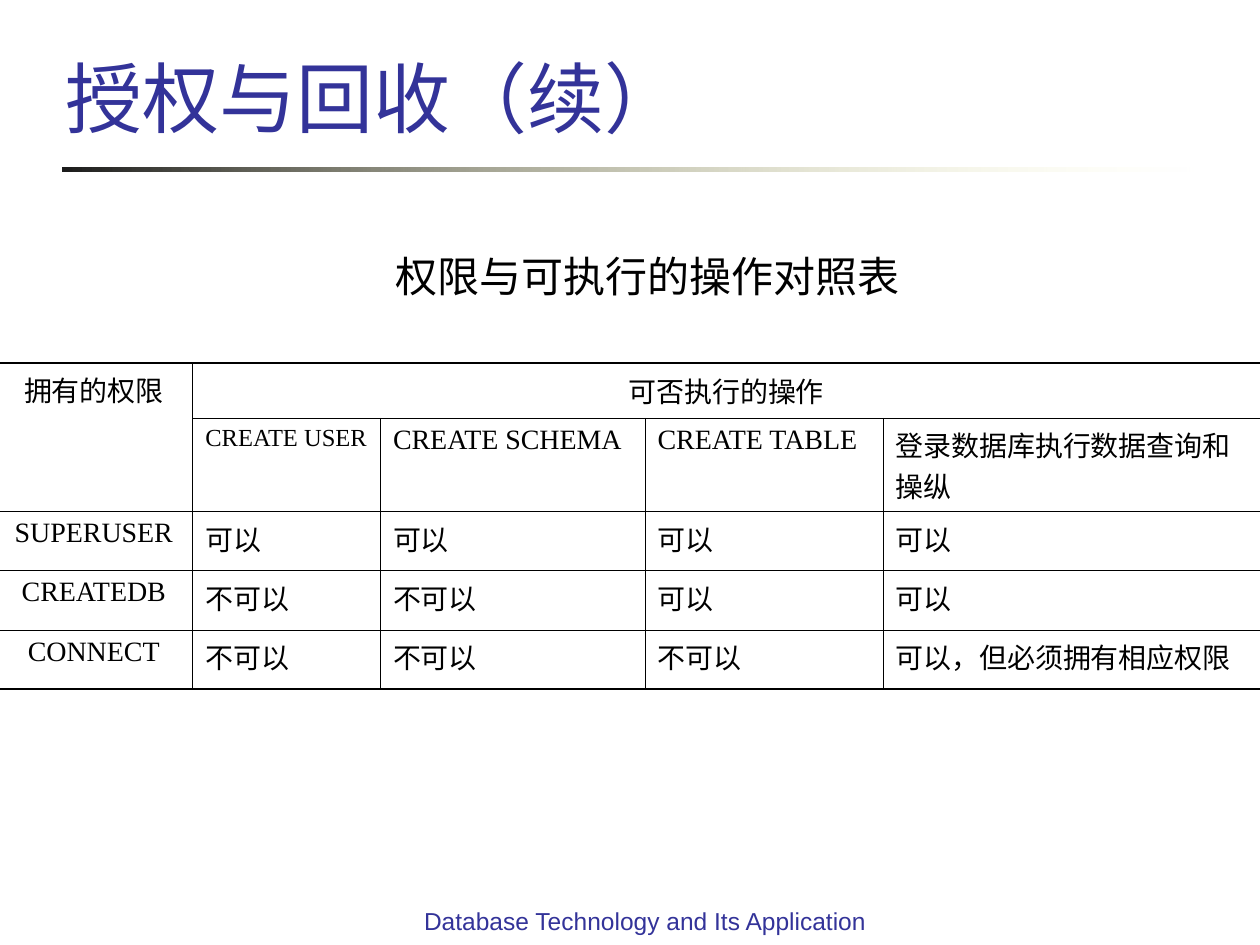
from dataclasses import dataclass

from lxml.etree import SubElement
from pptx import Presentation
from pptx.dml.color import RGBColor
from pptx.enum.shapes import MSO_SHAPE
from pptx.enum.text import MSO_ANCHOR, MSO_AUTO_SIZE, PP_ALIGN
from pptx.oxml.ns import qn
from pptx.util import Inches, Pt


@dataclass(frozen=True)
class Theme:
    """Colours, fonts, type sizes and line widths of the slide."""
    accent: str = "333399"
    ink: str = "000000"
    rule_start: str = "1C1C1C"
    rule_end: str = "FFFFB7"
    sans: str = "Arial"
    serif: str = "Times New Roman"
    title: int = 44
    caption: int = 24
    body: int = 16
    small: int = 14
    thin: float = 0.45
    thick: float = 1.08


THEME = Theme()
COLUMN_WIDTHS = (1.57, 1.49, 2.1, 1.89, 2.99)
ROW_HEIGHTS = (0.44, 0.74, 0.47, 0.47, 0.47)
PRIVILEGES = (
    ("拥有的权限", "可否执行的操作", "", "", ""),
    ("", "CREATE USER", "CREATE SCHEMA", "CREATE TABLE", "登录数据库执行数据查询和操纵"),
    ("SUPERUSER", "可以", "可以", "可以", "可以"),
    ("CREATEDB", "不可以", "不可以", "可以", "可以"),
    ("CONNECT", "不可以", "不可以", "不可以", "可以，但必须拥有相应权限"),
)


def write(frame, text, size, font, color, align=PP_ALIGN.LEFT):
    """Put one styled paragraph into a text frame."""
    frame.text = text
    paragraph = frame.paragraphs[0]
    paragraph.alignment = align
    for run in paragraph.runs:
        run.font.size = Pt(size)
        run.font.name = font
        run.font.color.rgb = RGBColor.from_string(color)


def add_label(slide, box, text, size, font, color,
              align=PP_ALIGN.LEFT, anchor=MSO_ANCHOR.TOP, wrap=True):
    """Add a text box filling the given box and return its frame."""
    frame = slide.shapes.add_textbox(*map(Inches, box)).text_frame
    frame.word_wrap = wrap
    frame.vertical_anchor = anchor
    write(frame, text, size, font, color, align)
    return frame


def add_title(slide, box):
    """Add the slide title."""
    add_label(slide, box, "授权与回收（续）", THEME.title, THEME.sans,
              THEME.accent, anchor=MSO_ANCHOR.BOTTOM)


def add_title_rule(slide, box):
    """Add the bar below the title that fades out to the right."""
    rule = slide.shapes.add_shape(MSO_SHAPE.RECTANGLE, *map(Inches, box))
    rule.shadow.inherit = False
    rule.line.fill.background()
    rule.fill.gradient()
    rule.fill.gradient_angle = 0
    stops = rule.fill.gradient_stops
    for stop, color in zip(stops, (THEME.rule_start, THEME.rule_end)):
        stop.color.rgb = RGBColor.from_string(color)
    end_color = rule.fill._xPr.findall(".//" + qn("a:srgbClr"))[-1]
    SubElement(end_color, qn("a:alpha"), val="0")


def add_caption(slide, box):
    """Add the caption above the table."""
    frame = add_label(slide, box, "权限与可执行的操作对照表", THEME.caption, THEME.serif,
                      THEME.ink, anchor=MSO_ANCHOR.MIDDLE, wrap=False)
    frame.auto_size = MSO_AUTO_SIZE.SHAPE_TO_FIT_TEXT


def add_footer(slide, box):
    """Add the centred course name at the foot."""
    add_label(slide, box, "Database Technology and Its Application", THEME.small,
              THEME.sans, THEME.accent, PP_ALIGN.CENTER)


def set_borders(cell, widths):
    """Draw cell borders, leaving out each side whose width is zero."""
    properties = cell._tc.get_or_add_tcPr()
    for side, width in zip(("lnL", "lnR", "lnT", "lnB"), widths):
        border = SubElement(properties, qn(f"a:{side}"), w=str(Pt(width)))
        if width:
            fill = SubElement(border, qn("a:solidFill"))
            SubElement(fill, qn("a:srgbClr"), val=THEME.ink)
        else:
            SubElement(border, qn("a:noFill"))


def add_privilege_table(slide, box):
    """Add the table of privileges and permitted operations."""
    last_row, last_column = len(ROW_HEIGHTS) - 1, len(COLUMN_WIDTHS) - 1
    table = slide.shapes.add_table(last_row + 1, last_column + 1, *map(Inches, box)).table
    table.first_row = table.horz_banding = False
    for column, width in zip(table.columns, COLUMN_WIDTHS):
        column.width = Inches(width)
    for row, height in zip(table.rows, ROW_HEIGHTS):
        row.height = Inches(height)
    table.cell(0, 0).merge(table.cell(1, 0))
    table.cell(0, 1).merge(table.cell(0, last_column))

    for r, texts in enumerate(PRIVILEGES):
        for c, text in enumerate(texts):
            cell = table.cell(r, c)
            if not cell.is_spanned:
                right = c + cell.span_width - 1
                set_borders(cell, (
                    THEME.thin if c else 0,
                    THEME.thin if right < last_column else 0,
                    THEME.thin if r else THEME.thick,
                    THEME.thin if r < last_row else THEME.thick,
                ))
                align = PP_ALIGN.CENTER if r == 0 or c == 0 else PP_ALIGN.LEFT
                size = THEME.small if text == "CREATE USER" else THEME.body
                write(cell.text_frame, text, size, THEME.serif, THEME.ink, align)
            cell.fill.background()
    table.cell(0, 1).vertical_anchor = MSO_ANCHOR.MIDDLE


def main():
    """Build the slide and save it."""
    presentation = Presentation()
    presentation.slide_width = Inches(10)
    presentation.slide_height = Inches(7.5)
    slide = presentation.slides.add_slide(presentation.slide_layouts[6])
    add_title_rule(slide, (0.5, 1.33, 9, 0.03))
    add_footer(slide, (3.19, 7.14, 3.86, 0.52))
    add_title(slide, (0.42, 0, 8.78, 1.18))
    add_privilege_table(slide, (-0.04, 2.88, sum(COLUMN_WIDTHS), sum(ROW_HEIGHTS)))
    add_caption(slide, (3.04, 1.94, 4.27, 0.5))
    presentation.save("out.pptx")


if __name__ == "__main__":
    main()
